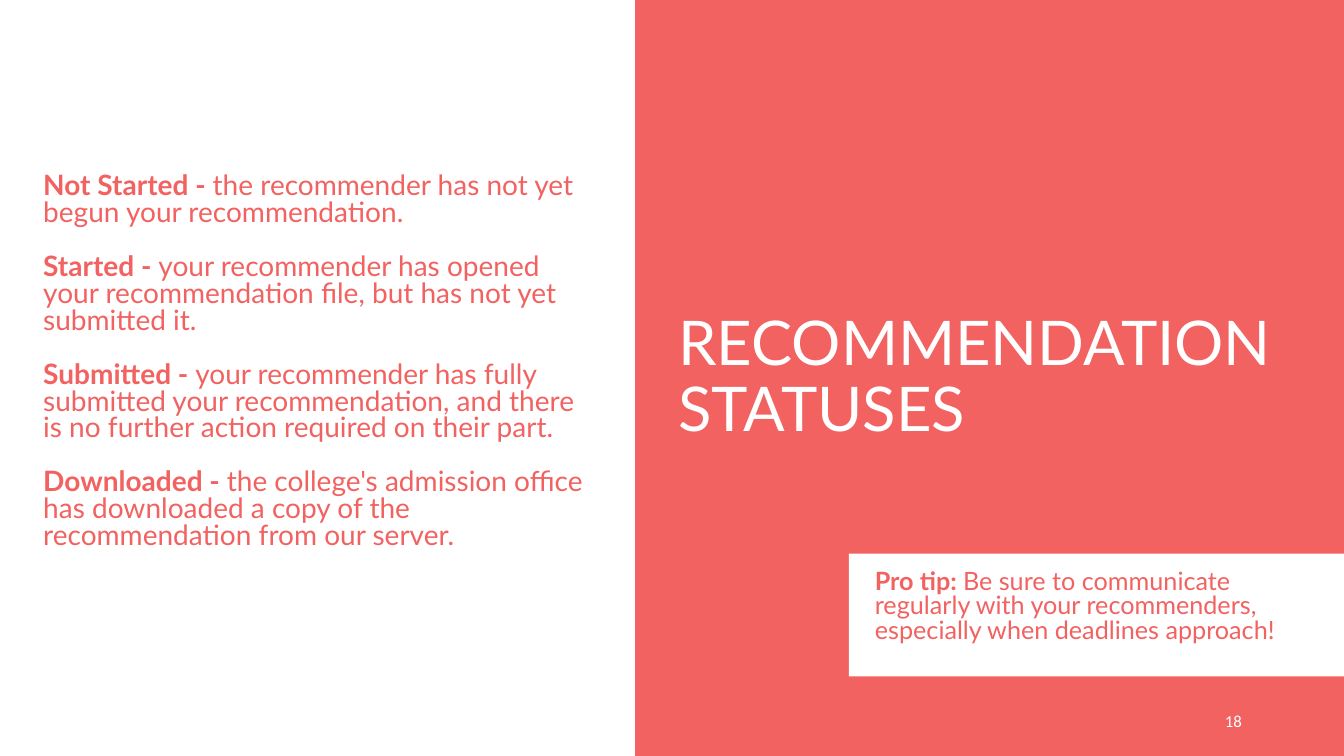
from pptx import Presentation
from pptx.dml.color import RGBColor
from pptx.enum.shapes import MSO_SHAPE as SHAPE
from pptx.enum.text import MSO_ANCHOR as ANCHOR, PP_ALIGN as ALIGN
from pptx.util import Pt

CORAL = "F16261"
WHITE = "FFFFFF"
STATUSES = [
    ("Not Started - ", "the recommender has not yet begun your recommendation."),
    ("Started - ", "your recommender has opened your recommendation file, "
                   "but has not yet submitted it."),
    ("Submitted - ", "your recommender has fully submitted your recommendation, "
                     "and there is no further action required on their part."),
    ("Downloaded - ", "the college's admission office has downloaded a copy "
                      "of the recommendation from our server."),
]
PRO_TIP = [
    ("Pro tip: ", "Be sure to communicate regularly with your recommenders, "
                  "especially when deadlines approach!"),
]


def rgb(color):
    return RGBColor.from_string(color)


def add_panel(s, x, y, w, h, color):
    sp = s.shapes.add_shape(SHAPE.RECTANGLE, Pt(x), Pt(y), Pt(w), Pt(h))
    sp.shadow.inherit = False
    sp.fill.solid()
    sp.fill.fore_color.rgb = rgb(color)
    sp.line.fill.background()


def add_box(s, x, y, w, h, anchor=ANCHOR.TOP):
    tf = s.shapes.add_textbox(Pt(x), Pt(y), Pt(w), Pt(h)).text_frame
    tf.word_wrap = True
    tf.vertical_anchor = anchor
    return tf


def add_run(p, text, size=20, color=CORAL, font="Lato", bold=False):
    r = p.add_run()
    r.text = text
    r.font.size = Pt(size)
    r.font.name = font
    r.font.bold = bold
    r.font.color.rgb = rgb(color)


def add_terms(tf, terms, size, gap=0):
    for i, (term, meaning) in enumerate(terms):
        p = tf.add_paragraph() if i else tf.paragraphs[0]
        p.line_spacing = 0.8
        if i:
            p.space_before = Pt(gap)
        add_run(p, term, size=size, bold=True)
        add_run(p, meaning, size=size)


def main():
    prs = Presentation()
    prs.slide_width, prs.slide_height = Pt(960), Pt(540)
    s = prs.slides.add_slide(prs.slide_layouts[6])
    s.background.fill.solid()
    s.background.fill.fore_color.rgb = rgb(CORAL)

    add_panel(s, 0, 0, 453.6, 540, WHITE)
    add_panel(s, 606.4, 395.4, 353.6, 87.8, WHITE)

    p = add_box(s, 477.4, 218, 463.7, 104.4, ANCHOR.MIDDLE).paragraphs[0]
    p.line_spacing = 0.9
    add_run(p, "RECOMMENDATION STATUSES", size=44, color=WHITE)

    add_terms(add_box(s, 23.8, 121, 405.4, 279.4), STATUSES, 20, gap=19.2)
    add_terms(add_box(s, 617.8, 404.6, 330.5, 69.8), PRO_TIP, 18)

    p = add_box(s, 678.2, 500.4, 216, 28.8, ANCHOR.MIDDLE).paragraphs[0]
    p.alignment = ALIGN.RIGHT
    add_run(p, "18", size=12, color=WHITE, font="Calibri")

    prs.save("out.pptx")


if __name__ == "__main__":
    main()
